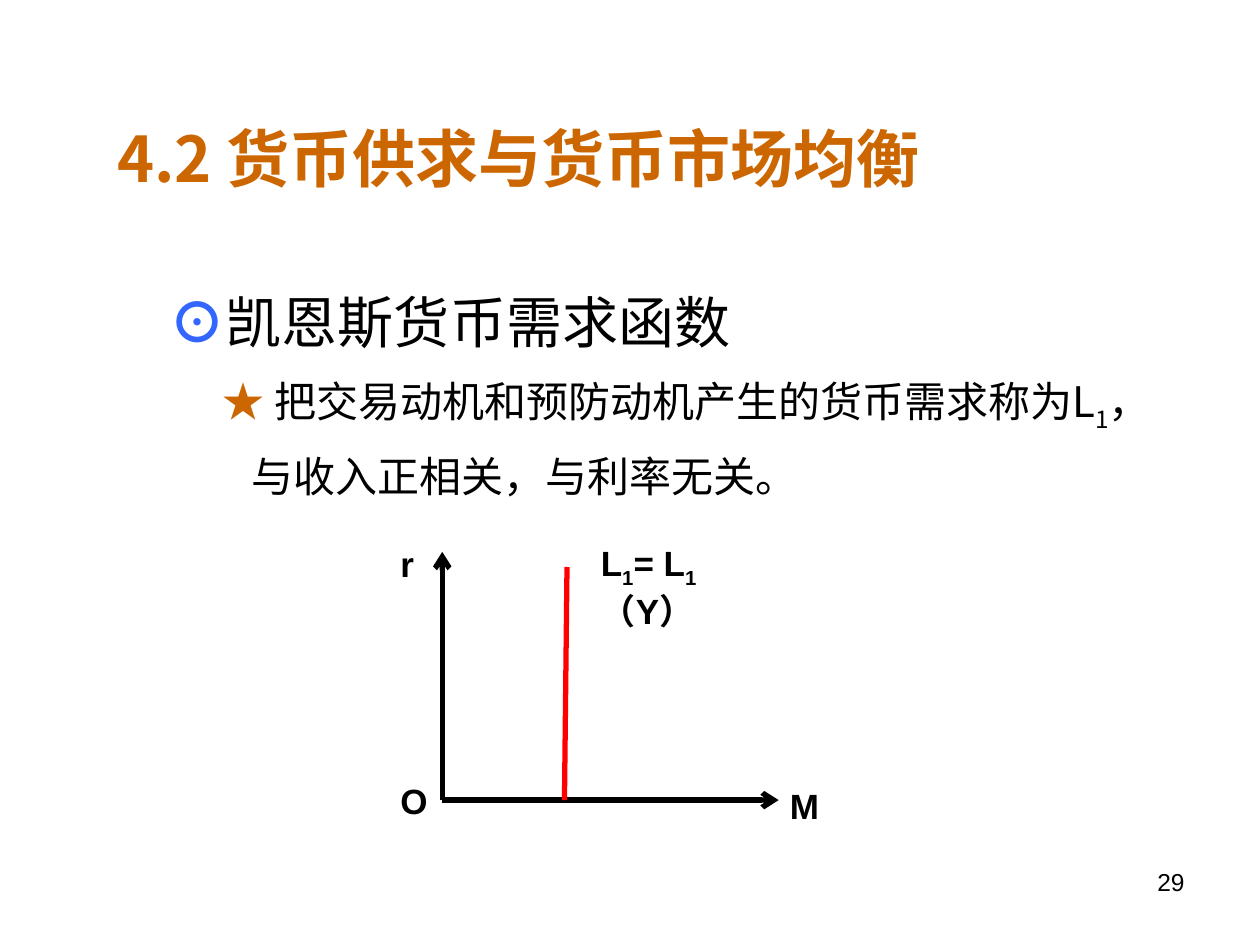
"""Build a slide on the Keynesian money demand function with a small diagram."""
from lxml import etree
from pptx import Presentation
from pptx.dml.color import RGBColor
from pptx.enum.shapes import MSO_CONNECTOR
from pptx.enum.text import MSO_ANCHOR, PP_ALIGN
from pptx.oxml.ns import qn
from pptx.util import Inches, Pt

STRAIGHT = MSO_CONNECTOR.STRAIGHT
TOP, MIDDLE = MSO_ANCHOR.TOP, MSO_ANCHOR.MIDDLE
LEFT, RIGHT = PP_ALIGN.LEFT, PP_ALIGN.RIGHT
BLACK = RGBColor(0x00, 0x00, 0x00)
ORANGE = RGBColor(0xCC, 0x66, 0x00)
BLUE = RGBColor(0x33, 0x66, 0xFF)
RED = RGBColor(0xFF, 0x00, 0x00)
CJK, LATIN = "Noto Sans CJK SC", "Arial"

TITLE = "4.2 货币供求与货币市场均衡"
BODY = [
    {"size": 32, "font": LATIN, "indent": 0, "before": 14,
     "runs": [("⊙", BLUE, True, False), ("凯恩斯货币需求函数", BLACK, False, False)]},
    {"size": 24, "font": CJK, "indent": 0.42, "before": 12,
     "runs": [("★ ", ORANGE, True, False),
              ("把交易动机和预防动机产生的货币需求称为L", BLACK, False, False),
              ("1", BLACK, False, True), ("，", BLACK, False, False)]},
    {"size": 24, "font": CJK, "indent": 0.65, "before": 16,
     "runs": [("与收入正相关，与利率无关。", BLACK, False, False)]},
]
AXIS_LABELS = [
    ("O", (3.08, 6.1, 0.5, 0.5)),
    ("r", (3.08, 4.25, 0.28, 0.44)),
    ("M", (6.17, 6.17, 0.73, 0.44)),
]
CURVE_LABEL = [("L", False), ("1", True), ("= L", False), ("1", True), ("（Y）", False)]
CURVE_LABEL_BOX = (4.67, 4.25, 1.77, 0.82)
ORIGIN = (3.51, 6.35)
LINES = [
    (ORIGIN, (3.51, 4.38), BLACK, True),
    (ORIGIN, (6.18, 6.35), BLACK, True),
    ((4.5, 4.5), (4.48, 6.35), RED, False),
]


def add_run(paragraph, text, size, color, bold=False, font=LATIN, subscript=False):
    run = paragraph.add_run()
    run.text = text
    run.font.size = Pt(size)
    run.font.bold = bold
    run.font.name = font
    run.font.color.rgb = color
    properties = run.font._element
    etree.SubElement(properties, qn("a:ea"), typeface=CJK)
    if subscript:
        properties.set("baseline", "-25000")


def add_text_box(slide, box, anchor=TOP, wrap=True):
    shape = slide.shapes.add_textbox(*map(Inches, box))
    frame = shape.text_frame
    frame.word_wrap = wrap
    frame.vertical_anchor = anchor
    return frame


def add_title(slide):
    title = slide.shapes.title
    title.left, title.top, title.width, title.height = map(Inches, (0.83, 0.91, 8, 0.67))
    title.text_frame.vertical_anchor = MIDDLE
    paragraph = title.text_frame.paragraphs[0]
    paragraph.alignment = LEFT
    add_run(paragraph, TITLE, 36, ORANGE, True, CJK)


def add_body(slide):
    frame = add_text_box(slide, (1.25, 2.29, 8.01, 1.83))
    for index, item in enumerate(BODY):
        paragraph = frame.add_paragraph() if index else frame.paragraphs[0]
        paragraph.space_before = Pt(item["before"])
        paragraph.line_spacing = 0.9
        paragraph._p.get_or_add_pPr().set("marL", str(Inches(item["indent"])))
        for text, color, bold, subscript in item["runs"]:
            font = CJK if bold else item["font"]
            add_run(paragraph, text, item["size"], color, bold, font, subscript)


def add_line(slide, start, end, color, arrow):
    line = slide.shapes.add_connector(STRAIGHT, *map(Inches, start + end))
    line.line.color.rgb = color
    line.line.width = Pt(3)
    if arrow:
        etree.SubElement(line.line._get_or_add_ln(), qn("a:tailEnd"), type="arrow")
    etree.SubElement(line._element.spPr, qn("a:effectLst"))


def add_diagram(slide):
    for line in LINES:
        add_line(slide, *line)
    for text, box in AXIS_LABELS:
        frame = add_text_box(slide, box, MIDDLE, False)
        add_run(frame.paragraphs[0], text, 20, BLACK, True)
    frame = add_text_box(slide, CURVE_LABEL_BOX)
    frame.margin_right = Inches(0.4)
    for text, subscript in CURVE_LABEL:
        add_run(frame.paragraphs[0], text, 20, BLACK, True, subscript=subscript)


def add_page_number(slide):
    paragraph = add_text_box(slide, (7.17, 6.83, 2.33, 0.52)).paragraphs[0]
    paragraph.alignment = RIGHT
    add_run(paragraph, "29", 14, BLACK)


def main():
    presentation = Presentation()
    presentation.slide_width, presentation.slide_height = Inches(10), Inches(7.5)
    slide = presentation.slides.add_slide(presentation.slide_layouts[5])
    add_title(slide)
    add_body(slide)
    add_diagram(slide)
    add_page_number(slide)
    presentation.save("out.pptx")


if __name__ == "__main__":
    main()
